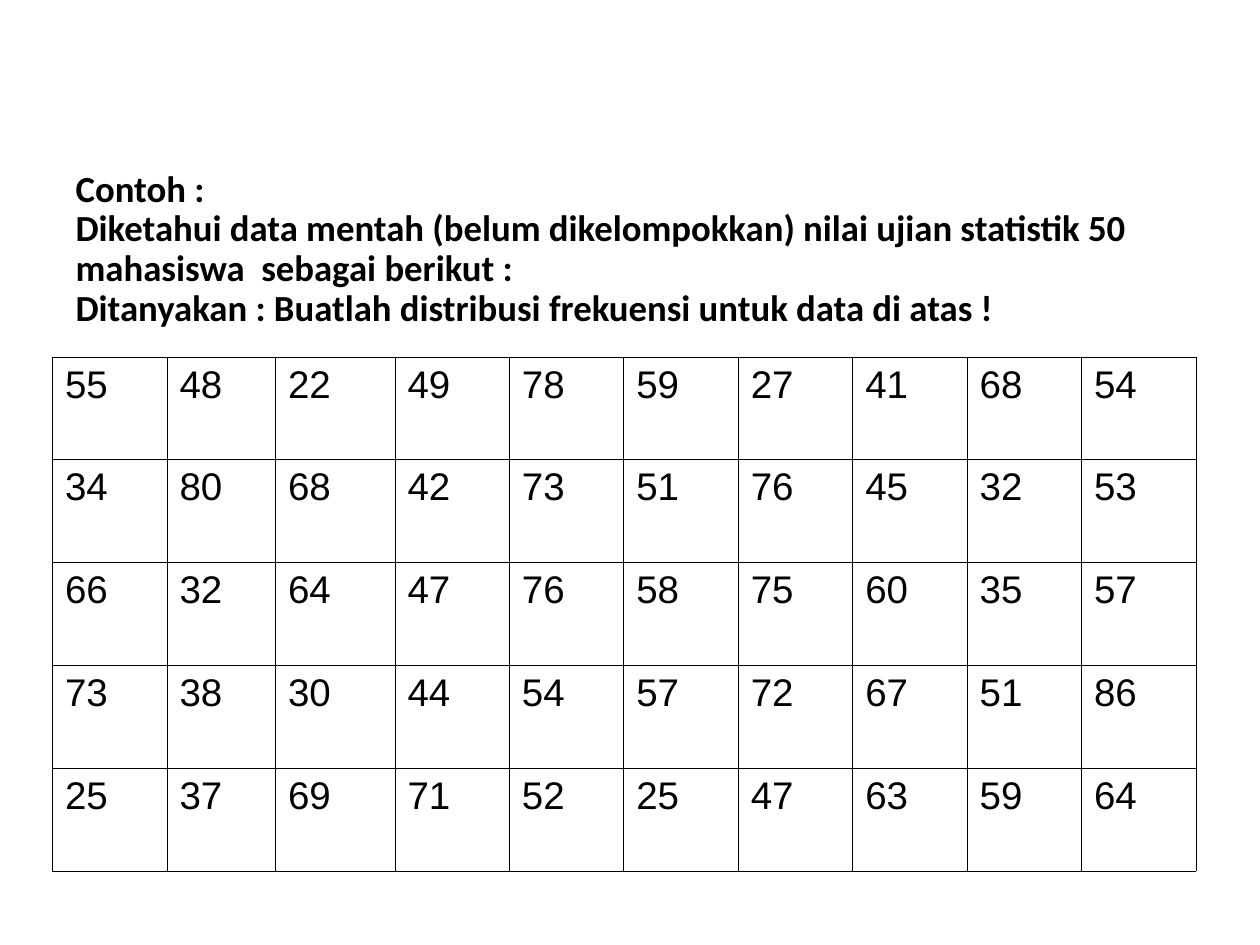
import copy
from dataclasses import dataclass

import pptx
import pptx.dml.color
import pptx.enum.text
import pptx.oxml
import pptx.oxml.ns
import pptx.util
from lxml import etree

Pt = pptx.util.Pt
qn = pptx.oxml.ns.qn


@dataclass(frozen=True)
class Theme:
    ink: str = "000000"
    title_font: str = "Calibri"
    title_size: float = 21
    cell_font: str = "Arial"
    cell_size: float = 22
    border: float = 0.45


THEME = Theme()

TITLE = (
    "Contoh :\n"
    "Diketahui data mentah (belum dikelompokkan) nilai ujian statistik 50 "
    "mahasiswa  sebagai berikut :\n"
    "Ditanyakan : Buatlah distribusi frekuensi untuk data di atas !"
)

SCORES = [
    [55, 48, 22, 49, 78, 59, 27, 41, 68, 54],
    [34, 80, 68, 42, 73, 51, 76, 45, 32, 53],
    [66, 32, 64, 47, 76, 58, 75, 60, 35, 57],
    [73, 38, 30, 44, 54, 57, 72, 67, 51, 86],
    [25, 37, 69, 71, 52, 25, 47, 63, 59, 64],
]
COL_WIDTHS = [65.4, 62, 68.3] + [65.4] * 7
ROW_HEIGHT = 58.75
HANGING = 27


def format_runs(p, font, size, bold=False):
    for r in p.runs:
        r.font.name = font
        r.font.size = Pt(size)
        r.font.bold = bold
        r.font.color.rgb = pptx.dml.color.RGBColor.from_string(THEME.ink)


def add_title(s, text, left, top, width, height):
    sp = s.shapes.title
    sp.left, sp.top, sp.width, sp.height = map(Pt, (left, top, width, height))
    tf = sp.text_frame
    tf.word_wrap = True
    tf.auto_size = pptx.enum.text.MSO_AUTO_SIZE.NONE
    tf.vertical_anchor = pptx.enum.text.MSO_ANCHOR.MIDDLE
    p = tf.paragraphs[0]
    p.text = text
    p.alignment = pptx.enum.text.PP_ALIGN.LEFT
    p.line_spacing = 0.9
    format_runs(p, THEME.title_font, THEME.title_size, bold=True)
    for br in p._p.findall(qn("a:br")):
        br.insert(0, copy.deepcopy(p.runs[0]._r.rPr))


def set_borders(cell):
    tcPr = cell._tc.get_or_add_tcPr()
    for i, side in enumerate(("lnL", "lnR", "lnT", "lnB")):
        ln = etree.Element(qn(f"a:{side}"), w=str(int(Pt(THEME.border))))
        fill = etree.SubElement(ln, qn("a:solidFill"))
        etree.SubElement(fill, qn("a:srgbClr"), val=THEME.ink)
        tcPr.insert(i, ln)


def format_cell(cell, value):
    cell.text_frame.text = str(value)
    p = cell.text_frame.paragraphs[0]
    p.alignment = pptx.enum.text.PP_ALIGN.JUSTIFY
    pPr = p._p.get_or_add_pPr()
    pPr.set("marL", str(int(Pt(HANGING))))
    pPr.set("indent", str(-int(Pt(HANGING))))
    format_runs(p, THEME.cell_font, THEME.cell_size)
    cell.fill.background()
    set_borders(cell)


def add_score_table(s, scores, left, top):
    rows, cols = len(scores), len(COL_WIDTHS)
    frame = s.shapes.add_table(
        rows, cols, Pt(left), Pt(top), Pt(sum(COL_WIDTHS)), Pt(rows * ROW_HEIGHT)
    )
    table = frame.table
    table.first_row = False
    table.horz_banding = False
    for col, width in zip(table.columns, COL_WIDTHS):
        col.width = Pt(width)
    for row, values in zip(table.rows, scores):
        row.height = Pt(ROW_HEIGHT)
        for cell, value in zip(row.cells, values):
            format_cell(cell, value)


def main():
    prs = pptx.Presentation()
    prs.slide_width, prs.slide_height = Pt(720), Pt(540)
    s = prs.slides.add_slide(prs.slide_layouts.get_by_name("Title Only"))
    add_title(s, TITLE, 36, 87.8, 618, 110)
    add_score_table(s, SCORES, 30, 204)
    prs.save("out.pptx")


if __name__ == "__main__":
    main()
